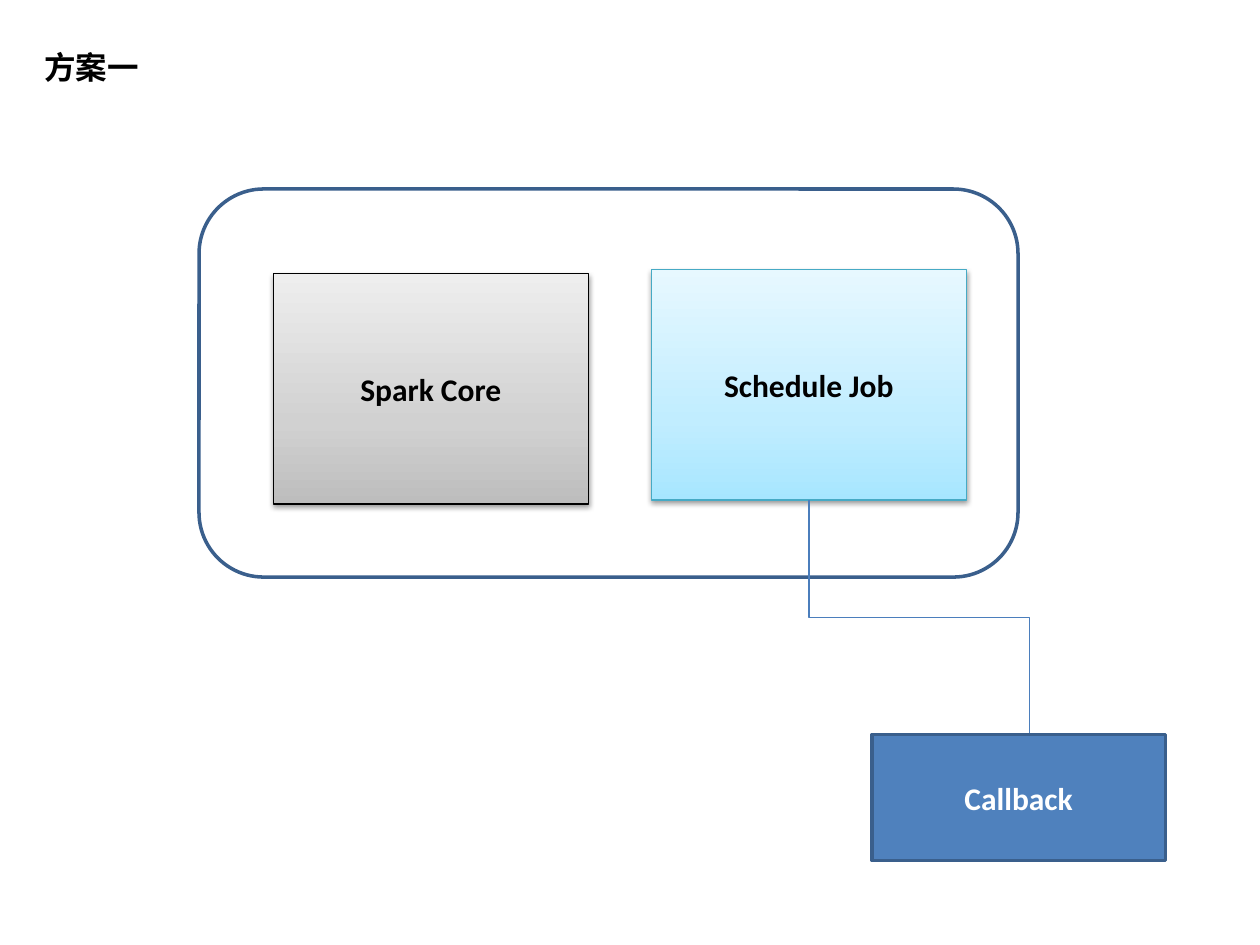
from copy import deepcopy
from dataclasses import dataclass
from typing import Optional

from lxml import etree
from pptx import Presentation
from pptx.dml.color import RGBColor
from pptx.enum.shapes import MSO_CONNECTOR, MSO_SHAPE
from pptx.enum.text import MSO_ANCHOR, MSO_AUTO_SIZE, PP_ALIGN
from pptx.oxml.ns import qn
from pptx.util import Inches, Pt

RECT = MSO_SHAPE.RECTANGLE
ROUNDED = MSO_SHAPE.ROUNDED_RECTANGLE
ELBOW = MSO_CONNECTOR.ELBOW
CENTER, LEFT = PP_ALIGN.CENTER, PP_ALIGN.LEFT
MIDDLE, TOP = MSO_ANCHOR.MIDDLE, MSO_ANCHOR.TOP
TITLE_ONLY = 5


@dataclass(frozen=True)
class Theme:
    """Colours, font and sizes of the slide."""
    font: str = "Calibri"
    size: int = 18
    black: str = "000000"
    white: str = "FFFFFF"
    blue: str = "4F81BD"
    navy: str = "3A5F8C"
    link: str = "4B7EBC"
    teal: str = "46AAC5"
    greys: tuple[str, ...] = ("BDBDBD", "D1D1D1", "EEEEEE")
    aquas: tuple[str, ...] = ("A7E6FF", "C1EDFF", "E7F8FF")
    stops: tuple[int, ...] = (0, 35, 100)
    thin: float = 0.75
    thick: float = 2


@dataclass(frozen=True)
class Box:
    """One block of the diagram; fill holds no, one or three colours."""
    left: float
    top: float
    width: float
    height: float
    line: str
    weight: float
    fill: tuple[str, ...] = ()
    text: str = ""
    color: Optional[str] = None
    shape: MSO_SHAPE = RECT
    shadow: bool = False


T = Theme()
CORE = Box(2.17, 2.17, 2.5, 1.83, T.black, T.thin, T.greys, "Spark Core", T.black, shadow=True)
JOB = Box(5.17, 2.14, 2.5, 1.83, T.teal, T.thin, T.aquas, "Schedule Job", T.black, shadow=True)
FRAME = Box(1.58, 1.5, 6.5, 3.08, T.navy, T.thick, shape=ROUNDED)
CALLBACK = Box(6.92, 5.83, 2.33, 1, T.navy, T.thick, (T.blue,), "Callback", T.white)


def write(tf, text: str, color: str, align: PP_ALIGN, anchor: MSO_ANCHOR) -> None:
    """Put one bold run into a text frame."""
    tf.word_wrap = True
    tf.vertical_anchor = anchor
    p = tf.paragraphs[0]
    p.alignment = align
    r = p.add_run()
    r.text = text
    r.font.name, r.font.size, r.font.bold = T.font, Pt(T.size), True
    r.font.color.rgb = RGBColor.from_string(color)


def fill_gradient(sp, colors: tuple[str, ...]) -> None:
    """Fill a shape with a gradient that runs from bottom to top."""
    sp.fill.gradient()
    sp.fill.gradient_angle = 90
    stops = sp._element.spPr.find(".//" + qn("a:gsLst"))
    while len(stops) < len(colors):
        stops.append(deepcopy(stops[-1]))
    for stop, color, place in zip(sp.fill.gradient_stops, colors, T.stops):
        stop.color.rgb = RGBColor.from_string(color)
        stop.position = place / 100


def add_shadow(sp) -> None:
    """Give a shape a soft shadow straight below it."""
    effects = sp._element.spPr.find(qn("a:effectLst"))
    shadow = etree.SubElement(effects, qn("a:outerShdw"), blurRad=str(Pt(3.1)),
                              dist=str(Pt(1.6)), dir="5400000", rotWithShape="0")
    color = etree.SubElement(shadow, qn("a:srgbClr"), val=T.black)
    etree.SubElement(color, qn("a:alpha"), val="38000")


def add_box(s, box: Box) -> None:
    """Draw one block with its label."""
    sp = s.shapes.add_shape(box.shape, Inches(box.left), Inches(box.top),
                            Inches(box.width), Inches(box.height))
    sp.shadow.inherit = False
    if len(box.fill) > 1:
        fill_gradient(sp, box.fill)
    elif box.fill:
        sp.fill.solid()
        sp.fill.fore_color.rgb = RGBColor.from_string(box.fill[0])
    else:
        sp.fill.background()
    sp.line.color.rgb = RGBColor.from_string(box.line)
    sp.line.width = Pt(box.weight)
    if box.shadow:
        add_shadow(sp)
    if box.text:
        write(sp.text_frame, box.text, box.color, CENTER, MIDDLE)


def add_drop_link(s, x1: float, y1: float, x2: float, y2: float) -> None:
    """Draw an elbow line that leaves downwards, runs right, then down again."""
    mid_x, mid_y = (x1 + x2) / 2, (y1 + y2) / 2
    half_w, half_h = (y2 - y1) / 2, (x2 - x1) / 2
    cx = s.shapes.add_connector(ELBOW, Inches(mid_x + half_w), Inches(mid_y - half_h),
                                Inches(mid_x - half_w), Inches(mid_y + half_h))
    spPr = cx._element.spPr
    spPr.find(qn("a:xfrm")).set("rot", str(270 * 60000))
    cx.line.color.rgb = RGBColor.from_string(T.link)
    cx.line.width = Pt(T.thin)
    etree.SubElement(spPr, qn("a:effectLst"))


def add_title(s, text: str) -> None:
    """Place the slide title at the top left."""
    title = s.shapes.title
    title.left, title.top = Inches(0.25), Inches(0.33)
    title.width, title.height = Inches(2.83), Inches(0.4)
    title.text_frame.auto_size = MSO_AUTO_SIZE.SHAPE_TO_FIT_TEXT
    write(title.text_frame, text, T.black, LEFT, TOP)


def main() -> None:
    """Build the slide and save it."""
    prs = Presentation()
    prs.slide_width, prs.slide_height = Inches(10), Inches(7.5)
    s = prs.slides.add_slide(prs.slide_layouts[TITLE_ONLY])
    add_title(s, "方案一")
    for box in (CORE, JOB, FRAME):
        add_box(s, box)
    add_drop_link(s, JOB.left + JOB.width / 2, JOB.top + JOB.height, 8.17, CALLBACK.top)
    add_box(s, CALLBACK)
    prs.save("out.pptx")


main()
